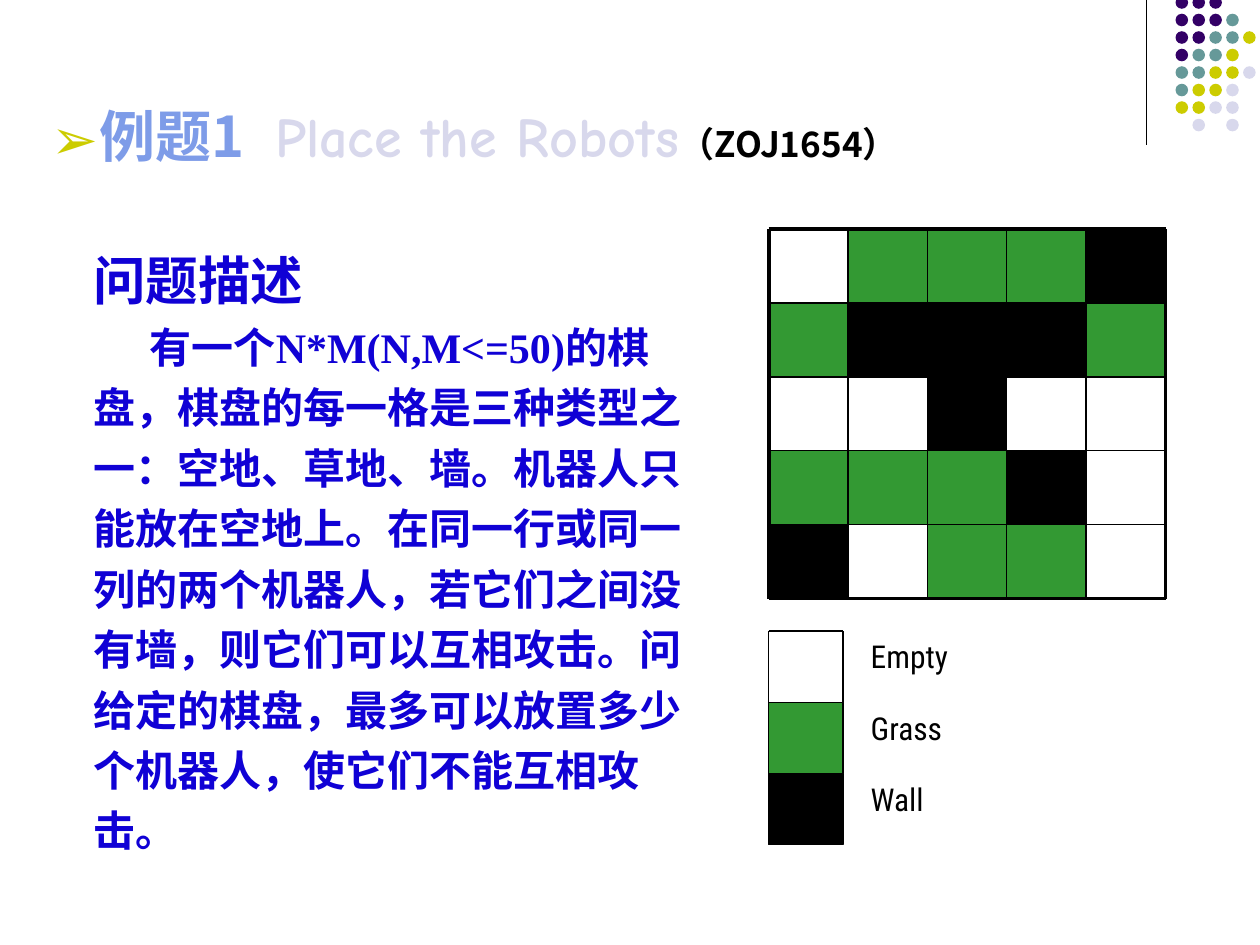
from lxml.etree import SubElement
from pptx import Presentation
from pptx.dml.color import RGBColor
from pptx.enum.shapes import MSO_CONNECTOR as CONNECTOR, MSO_SHAPE as SHAPE
from pptx.enum.text import MSO_ANCHOR as ANCHOR, MSO_AUTO_SIZE as AUTO_SIZE, PP_ALIGN as ALIGN
from pptx.oxml.ns import qn
from pptx.util import Inches, Pt

CJK, COMIC, ROBOTO, TIMES = "Noto Sans CJK SC", "Comic Neue", "Roboto Condensed", "Times New Roman"
BLACK, BLUE = "000000", "1001D5"
TITLE = [
    ("例题1", 32, CJK, "7E9CE8"),
    (" ", 32, CJK, "7E9CE8"),
    ("Place the Robots", 32, COMIC, "D8D8EC"),
    ("（ZOJ1654）", 20, CJK, BLACK),
]
DESCRIPTION = [
    ("问题描述", 30, CJK, 0),
    ("有一个N*M(N,M<=50)的棋盘，棋盘的每一格是三种类型之一：空地、草地、墙。"
     "机器人只能放在空地上。在同一行或同一列的两个机器人，若它们之间没有墙，"
     "则它们可以互相攻击。问给定的棋盘，最多可以放置多少个机器人，使它们不能互相攻击。",
     24, TIMES, 0.45),
]
BOARD = ["EGGGW", "GWWWG", "EEWEE", "GGGWE", "WEGGE"]
LEGEND = ["Empty", "Grass", "Wall"]
CELL_FILLS = {"E": None, "G": "339933", "W": BLACK}
DOTS = ["PPP", "PPPT", "PPTTY", "PTTY", "TTYYL", "TYYL", "YYLL", " L L"]
DOT_FILLS = {"P": "330066", "T": "669999", "Y": "CCCC00", "L": "D8D8EC"}


def color(value):
    return RGBColor.from_string(value)


def add_block(slide, kind, left, top, width, height, fill, outline=None):
    block = slide.shapes.add_shape(kind, Inches(left), Inches(top), Inches(width), Inches(height))
    block.shadow.inherit = False
    if fill:
        block.fill.solid()
        block.fill.fore_color.rgb = color(fill)
    else:
        block.fill.background()
    if outline:
        block.line.color.rgb = color(BLACK)
        block.line.width = Pt(outline)
    else:
        block.line.fill.background()


def add_line(slide, x1, y1, x2, y2, width):
    line = slide.shapes.add_connector(CONNECTOR.STRAIGHT, Inches(x1), Inches(y1), Inches(x2), Inches(y2))
    line.line.color.rgb = color(BLACK)
    line.line.width = Pt(width)
    SubElement(line._element.spPr, qn("a:effectLst"))


def add_frame(slide, left, top, right, bottom, width):
    for ends in [(left, top, right, top), (left, bottom, right, bottom),
                 (left, top, left, bottom), (right, top, right, bottom)]:
        add_line(slide, *ends, width)


def format_run(run, size, font, ink, bold=True):
    run.font.size, run.font.bold, run.font.name = Pt(size), bold, font
    run.font.color.rgb = color(ink)
    east_asian = SubElement(run._r.get_or_add_rPr(), qn("a:ea"))
    east_asian.set("typeface", CJK)


def add_text_box(slide, left, top, width, height):
    box = slide.shapes.add_textbox(Inches(left), Inches(top), Inches(width), Inches(height))
    box.text_frame.word_wrap = True
    return box.text_frame


def add_title(slide):
    title = slide.shapes.title
    title.left, title.top, title.width, title.height = map(Inches, (0.31, 0.56, 9.34, 1.02))
    frame = title.text_frame
    frame.auto_size, frame.vertical_anchor = AUTO_SIZE.NONE, ANCHOR.MIDDLE
    heading = frame.paragraphs[0]
    heading.alignment = ALIGN.LEFT
    props = heading._p.get_or_add_pPr()
    props.set("marL", str(Inches(0.38)))
    props.set("indent", str(Inches(-0.38)))
    bullet_color = SubElement(props, qn("a:buClr"))
    SubElement(bullet_color, qn("a:srgbClr")).set("val", "CCCC00")
    SubElement(props, qn("a:buFont")).set("typeface", CJK)
    SubElement(props, qn("a:buChar")).set("char", "➢")
    for text, size, font, ink in TITLE:
        run = heading.add_run()
        run.text = text
        format_run(run, size, font, ink)
    heading.runs[1]._r.rPr.set("spc", "1010")


def add_description(slide):
    frame = add_text_box(slide, 0.64, 1.82, 5.12, 4.85)
    for index, (text, size, font, indent) in enumerate(DESCRIPTION):
        paragraph = frame.add_paragraph() if index else frame.paragraphs[0]
        paragraph.text = text
        paragraph.line_spacing = 1.2
        props = paragraph._p.get_or_add_pPr()
        props.set("indent", str(Inches(indent)))
        props.set("hangingPunct", "0")
        format_run(paragraph.runs[0], size, font, BLUE)


def add_dots(slide):
    add_line(slide, 9.1, 0, 9.1, 1.15, 0.75)
    for row, codes in enumerate(DOTS):
        for column, code in enumerate(codes):
            if code in DOT_FILLS:
                add_block(slide, SHAPE.OVAL, 9.33 + column * 0.134, -0.03 + row * 0.139,
                          0.1, 0.1, DOT_FILLS[code])


def add_board(slide):
    left, top, right, bottom = 6.1, 1.82, 9.25, 4.75
    width, height = (right - left) / len(BOARD[0]), (bottom - top) / len(BOARD)
    for row, codes in enumerate(BOARD):
        for column, code in enumerate(codes):
            add_block(slide, SHAPE.RECTANGLE, left + column * width, top + row * height,
                      width, height, CELL_FILLS[code], 0.75)
    add_frame(slide, left, top, right, bottom, 2.25)


def add_legend(slide):
    left, top, width, height = 6.1, 5.01, 0.59, 0.565
    for row, label in enumerate(LEGEND):
        y = top + row * height
        add_block(slide, SHAPE.RECTANGLE, left, y, width, height, CELL_FILLS[label[0]], 0.75)
        frame = add_text_box(slide, left + width, y, 1.18, height)
        frame.margin_left = Inches(0.22)
        frame.text = label
        format_run(frame.paragraphs[0].runs[0], 18, ROBOTO, BLACK, False)
    add_frame(slide, left, top, left + width, top + height, 1)


def main():
    """Build the robot placement problem slide."""
    deck = Presentation()
    deck.slide_width, deck.slide_height = Inches(10), Inches(7.5)
    slide = deck.slides.add_slide(deck.slide_layouts[5])
    add_dots(slide)
    add_title(slide)
    add_description(slide)
    add_board(slide)
    add_legend(slide)
    deck.save("out.pptx")


if __name__ == "__main__":
    main()
